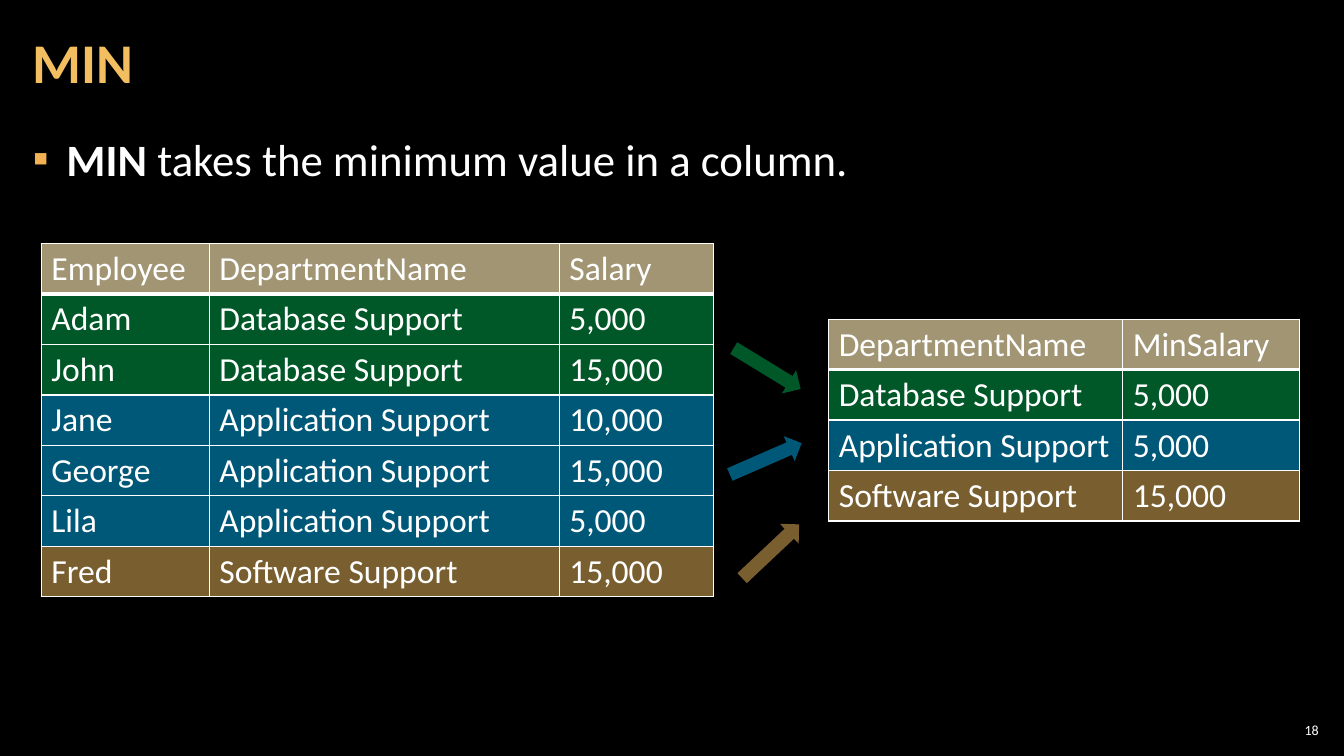
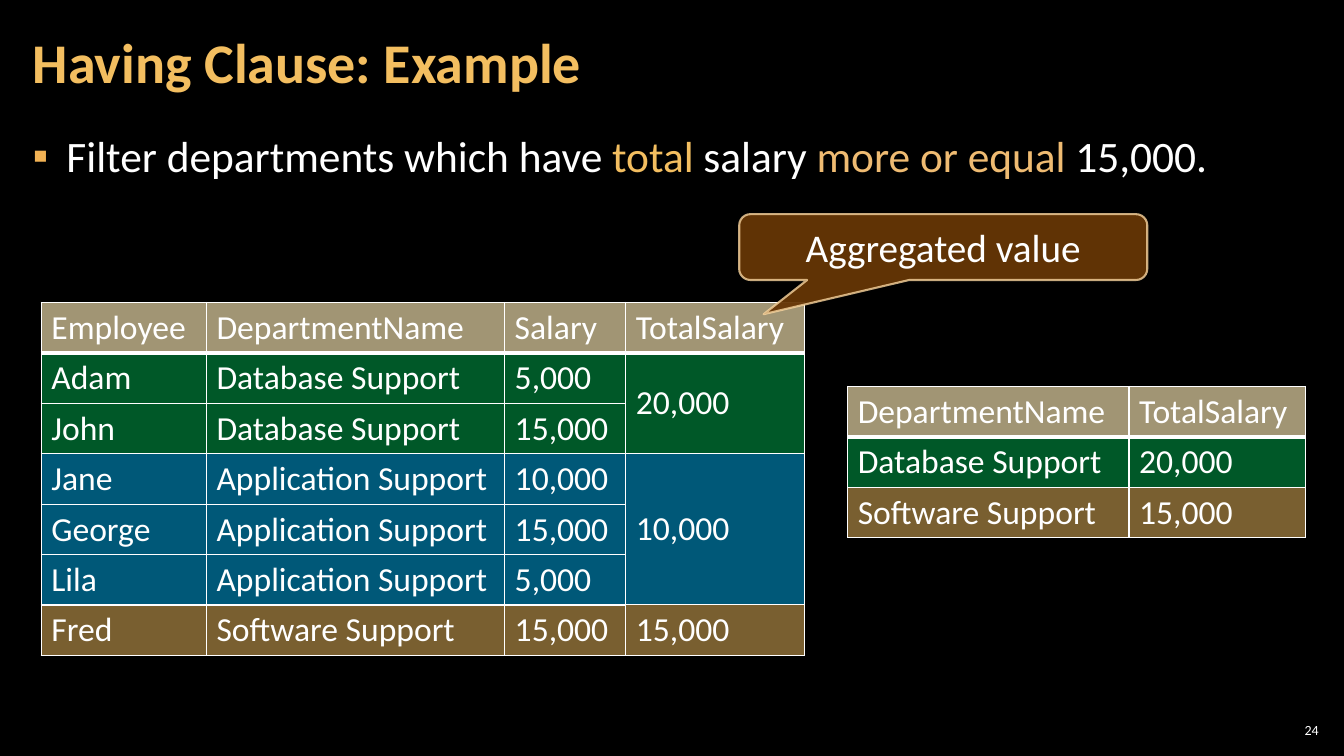
from dataclasses import dataclass

from lxml import etree
from pptx import Presentation
from pptx.dml.color import RGBColor
from pptx.enum import shapes, text
from pptx.oxml.ns import qn
from pptx.util import Pt


@dataclass(frozen=True)
class Theme:
    font: str = "Calibri"
    back: str = "000000"
    ink: str = "FFFFFF"
    gold: str = "F3BE60"
    sand: str = "EFBB72"
    mark: str = "F2B254"
    head: str = "A19574"
    green: str = "00B050"
    blue: str = "00B0F0"
    brown: str = "663606"
    edge: str = "F8D49E"
    title: int = 40
    lead: int = 32
    note: int = 28
    cell: int = 24
    num: int = 10
    row: int = 36


T = Theme()
LEFT, MID, RIGHT = text.PP_ALIGN.LEFT, text.PP_ALIGN.CENTER, text.PP_ALIGN.RIGHT
TOP, CORE = text.MSO_ANCHOR.TOP, text.MSO_ANCHOR.MIDDLE

DATA, APP, SOFT = "Database Support", "Application Support", "Software Support"
HUES = {DATA: T.green, APP: T.blue, SOFT: T.gold}
STAFF = [
    ("Adam", DATA, "5,000"),
    ("John", DATA, "15,000"),
    ("Jane", APP, "10,000"),
    ("George", APP, "15,000"),
    ("Lila", APP, "5,000"),
    ("Fred", SOFT, "15,000"),
]
STAFF_HEAD = ("Employee", "DepartmentName", "Salary")
STAFF_HUES = [HUES[row[1]] for row in STAFF]


def rgb(code):
    return RGBColor.from_string(code)


def pts(*nums):
    return [Pt(n) for n in nums]


def sub(node, tag, **attrs):
    return etree.SubElement(node, qn(tag), attrs)


def paint(fill, node, hue, alpha=100):
    """Solid fill, with opacity in percent."""
    fill.solid()
    fill.fore_color.rgb = rgb(hue)
    if alpha < 100:
        sub(node.find(qn("a:solidFill"))[0], "a:alpha", val=str(alpha * 1000))


def write(frame, runs, size, align=LEFT, anchor=TOP, pad=None):
    """Write (text, colour, bold) runs into one paragraph."""
    frame.word_wrap = True
    frame.vertical_anchor = anchor
    if pad:
        (frame.margin_left, frame.margin_top,
         frame.margin_right, frame.margin_bottom) = pts(*pad)
    para = frame.paragraphs[0]
    para.alignment = align
    for words, hue, bold in runs:
        run = para.add_run()
        run.text = words
        font = run.font
        font.name, font.size, font.bold = T.font, Pt(size), bold
        font.color.rgb = rgb(hue)
    return para


def base(deck, title, num):
    """Slide with title and page number."""
    slide = deck.slides.add_slide(deck.slide_layouts[5])
    head = slide.shapes.title
    head.left, head.top, head.width, head.height = pts(15, 3, 754, 87)
    para = write(head.text_frame, [(title, T.gold, True)], T.title,
                 anchor=CORE, pad=(8.5, 3, 8.5, 3))
    para.line_spacing = 0.9
    page = slide.shapes.add_textbox(*pts(911, 514, 34, 15))
    write(page.text_frame, [(str(num), T.ink, False)], T.num,
          RIGHT, CORE, (3, 3, 3, 3))
    return slide


def lead(slide, top, runs, size):
    """Bulleted statement below the title."""
    box = slide.shapes.add_textbox(*pts(15, top, 930, 438))
    para = write(box.text_frame, runs, size, pad=(8.5, 3, 8.5, 3))
    props = para._p.get_or_add_pPr()
    props.set("marL", str(Pt(24)))
    props.set("indent", str(-Pt(24)))
    sub(sub(props, "a:buClr"), "a:srgbClr", val=T.mark)
    sub(props, "a:buFont", typeface=T.font)
    sub(props, "a:buChar", char="▪")
    para.space_before = para.space_after = Pt(6)


def rule(props, head):
    """White cell borders, heavier below the header."""
    for at, side in enumerate("LRTB"):
        wide = 3 if head and side == "B" else 1
        line = etree.Element(qn("a:ln" + side), w=str(Pt(wide)))
        sub(sub(line, "a:solidFill"), "a:srgbClr", val=T.ink)
        props.insert(at, line)


def grid(slide, left, top, cols, head, rows, hues, spans=None):
    """Table with tinted rows; spans gives body heights in rows."""
    spans = [1] + (spans or [1] * len(rows))
    frame = slide.shapes.add_table(
        len(spans), len(cols),
        *pts(left, top, sum(cols), T.row * sum(spans)))
    table = frame.table
    table.first_row = table.horz_banding = False
    for col, wide in zip(table.columns, cols):
        col.width = Pt(wide)
    for r, (row, hue, span) in enumerate(
            zip([head, *rows], [T.head, *hues], spans)):
        table.rows[r].height = Pt(T.row * span)
        for c, words in enumerate(row):
            cell = table.cell(r, c)
            props = cell._tc.get_or_add_tcPr()
            paint(cell.fill, props, hue, 50 if r else 100)
            rule(props, r == 0)
            write(cell.text_frame, [(words, T.ink, False)], T.cell)
            cell.vertical_anchor = CORE if span > 1 else TOP


def arrow(slide, left, top, turn, hue):
    """Tinted block arrow from a group to its result."""
    shape = slide.shapes.add_shape(
        shapes.MSO_SHAPE.RIGHT_ARROW, *pts(left, top, 56, 19.5))
    shape.rotation = turn
    shape.shadow.inherit = False
    paint(shape.fill, shape.element.spPr, hue, 50)
    shape.line.fill.background()


def callout(slide, left, top, wide, high, words):
    """Speech bubble pointing to the lower left."""
    shape = slide.shapes.add_shape(
        shapes.MSO_SHAPE.ROUNDED_RECTANGULAR_CALLOUT,
        *pts(left, top, wide, high))
    for at, val in enumerate((-0.44, 1.02, 0.17)):
        shape.adjustments[at] = val
    shape.shadow.inherit = False
    props = shape.element.spPr
    paint(shape.fill, props, T.brown, 95)
    shape.line.width = Pt(1.5)
    paint(shape.line.fill, props.find(qn("a:ln")), T.edge, 80)
    write(shape.text_frame, [(words, T.ink, False)], T.note, MID, CORE)


def min_slide(deck):
    slide = base(deck, "MIN", 18)
    grid(slide, 29.5, 174, (120, 250, 110), STAFF_HEAD, STAFF, STAFF_HUES)
    grid(slide, 592, 228, (210, 126), ("DepartmentName", "MinSalary"),
         [(DATA, "5,000"), (APP, "5,000"), (SOFT, "15,000")], HUES.values())
    for spot, hue in zip(
            [(520, 253.5, 31.4), (519, 318, 336.4), (522.5, 384, 316.7)],
            HUES.values()):
        arrow(slide, *spot, hue)
    lead(slide, 91, [
        ("MIN", T.ink, True),
        (" takes the minimum value in a column.", T.ink, False),
    ], T.lead)


def having_slide(deck):
    slide = base(deck, "Having Clause: Example", 24)
    lead(slide, 89.5, [
        ("Filter departments which have ", T.ink, False),
        ("total", T.gold, False),
        (" salary ", T.ink, False),
        ("more or equal ", T.sand, False),
        ("15,000.", T.ink, False),
    ], T.lead - 1)
    left, top, cols = 29.5, 216, (118, 213, 86.5)
    grid(slide, left, top, cols, STAFF_HEAD, STAFF, STAFF_HUES)
    # Totals sit flush with the staff table, one row per department
    grid(slide, left + sum(cols), top, (127.5,), ("TotalSalary",),
         [("20,000",), ("10,000",), ("15,000",)], HUES.values(),
         [STAFF_HUES.count(hue) for hue in HUES.values()])
    grid(slide, 605.5, 276, (201, 126), ("DepartmentName", "TotalSalary"),
         [(DATA, "20,000"), (SOFT, "15,000")], [HUES[DATA], HUES[SOFT]])
    callout(slide, 528, 153, 291.5, 47, "Aggregated value")


def main():
    deck = Presentation()
    deck.slide_width, deck.slide_height = pts(960, 540)
    back = deck.slide_master.background.fill
    back.solid()
    back.fore_color.rgb = rgb(T.back)
    min_slide(deck)
    having_slide(deck)
    deck.save("out.pptx")


if __name__ == "__main__":
    main()
